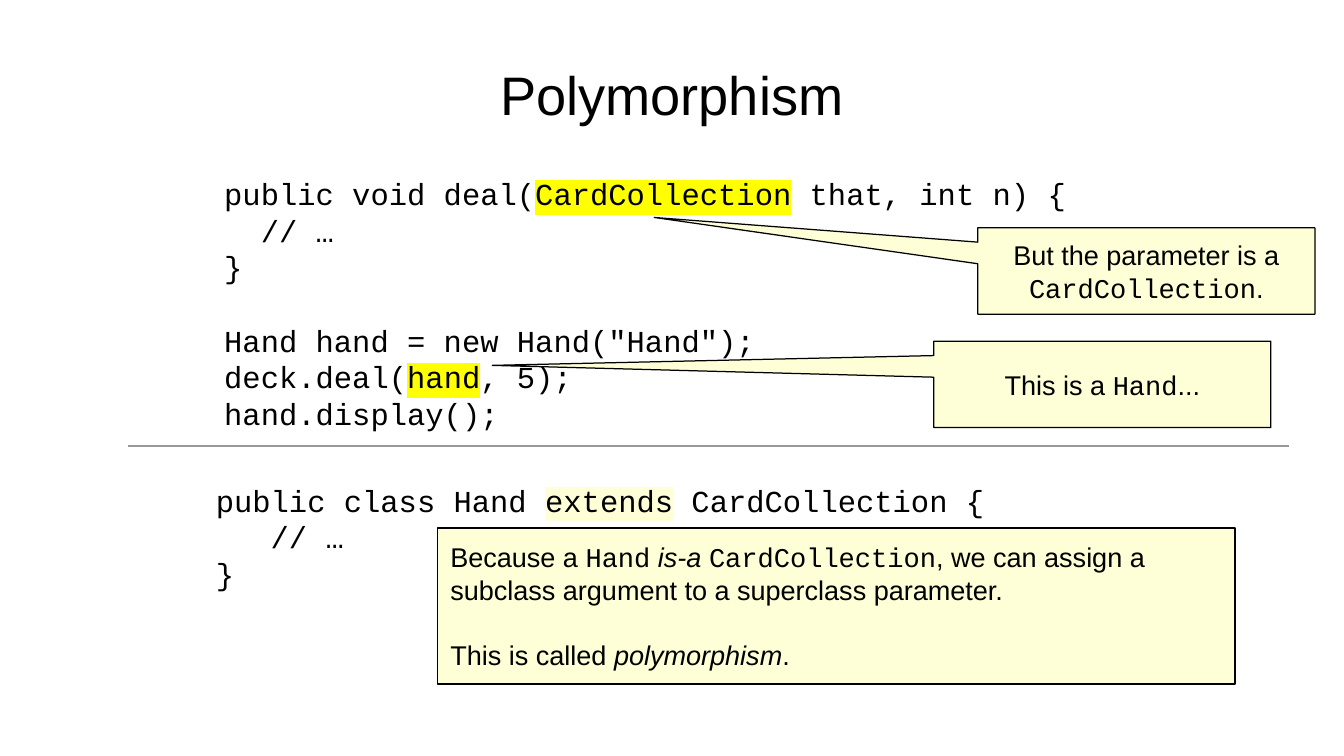
from dataclasses import dataclass

from lxml.etree import SubElement
from pptx import Presentation
from pptx.dml.color import RGBColor
from pptx.enum.shapes import MSO_CONNECTOR, MSO_SHAPE
from pptx.enum.text import MSO_ANCHOR, PP_ALIGN
from pptx.oxml.ns import qn
from pptx.util import Pt


@dataclass(frozen=True)
class Theme:
    ink: str = "000000"
    rule: str = "999999"
    cream: str = "FFFFD7"
    marker: str = "FFFF00"
    sans: str = "Arial"
    mono: str = "Courier New"
    title_size: float = 32
    code_size: float = 18
    note_size: float = 16


THEME = Theme()
CODE_INDENT = 0.6 * THEME.code_size
CODE_GAP = 21.6
NOTE_GAP = 19.3


def points(box):
    return [Pt(length) for length in box]


def add_span(para, text, font, size, italic=False, highlight=None):
    span = para.add_run()
    span.text = text
    span.font.name = font
    span.font.size = Pt(size)
    span.font.italic = italic
    span.font.color.rgb = RGBColor.from_string(THEME.ink)
    if highlight:
        properties = span.font._element
        mark = SubElement(properties, qn("a:highlight"))
        SubElement(mark, qn("a:srgbClr")).set("val", highlight)
        properties.find(qn("a:solidFill")).addnext(mark)


def add_paras(frame, count):
    return [frame.paragraphs[0]] + [frame.add_paragraph() for _ in range(count - 1)]


def set_frame(frame, anchor, side, top):
    frame.word_wrap = True
    frame.vertical_anchor = anchor
    frame.margin_left = frame.margin_right = Pt(side)
    frame.margin_top = frame.margin_bottom = Pt(top)


def add_title(page, box, text):
    title = page.shapes.title
    title.left, title.top, title.width, title.height = points(box)
    set_frame(title.text_frame, MSO_ANCHOR.MIDDLE, 0, 0)
    para = title.text_frame.paragraphs[0]
    para.alignment = PP_ALIGN.CENTER
    add_span(para, text, THEME.sans, THEME.title_size)


def add_code(page, box, lines):
    frame = page.shapes.add_textbox(*points(box)).text_frame
    set_frame(frame, MSO_ANCHOR.TOP, 7.2, 3.6)
    for para, (indent, gap, spans) in zip(add_paras(frame, len(lines)), lines):
        para.space_before = Pt(gap)
        para._p.get_or_add_pPr().set("marL", str(Pt(indent * CODE_INDENT)))
        for text, highlight in spans:
            add_span(para, text, THEME.mono, THEME.code_size, highlight=highlight)


def add_note(page, box, kind, line_width, lines, alignment):
    note = page.shapes.add_shape(kind, *points(box))
    note.shadow.inherit = False
    note.fill.solid()
    note.fill.fore_color.rgb = RGBColor.from_string(THEME.cream)
    note.line.color.rgb = RGBColor.from_string(THEME.ink)
    note.line.width = Pt(line_width)
    frame = note.text_frame
    set_frame(frame, MSO_ANCHOR.MIDDLE, 7.6, 4)
    for para, (gap, spans) in zip(add_paras(frame, len(lines)), lines):
        para.alignment = alignment
        para.space_before = Pt(gap)
        for text, font, italic in spans:
            add_span(para, text, font, THEME.note_size, italic=italic)
    return note


def add_callout(page, box, pointer, lines):
    callout = add_note(
        page, box, MSO_SHAPE.RECTANGULAR_CALLOUT, 0, lines, PP_ALIGN.CENTER
    )
    for index, offset in enumerate(pointer):
        callout.adjustments[index] = offset


def add_divider(page, left, top, width):
    divider = page.shapes.add_connector(
        MSO_CONNECTOR.STRAIGHT, *points((left, top, left + width, top))
    )
    divider.line.color.rgb = RGBColor.from_string(THEME.rule)
    divider.line.width = Pt(1)
    SubElement(divider._element.spPr, qn("a:effectLst"))


def add_call_region(page, box):
    left, top, width, height = box
    add_code(page, box, [
        (0, 0, [("public void deal(", None),
                ("CardCollection", THEME.marker),
                (" that, int n) {", None)]),
        (2, 0, [("// …", None)]),
        (0, 0, [("}", None)]),
        (0, CODE_GAP, [('Hand hand = new Hand("Hand");', None)]),
        (0, 0, [("deck.deal(", None),
                ("hand", THEME.marker),
                (", 5);", None)]),
        (0, 0, [("hand.display();", None)]),
    ])
    add_callout(page, (left + 426, top + 101.5, 199, 51), (-1.81, -0.22), [
        (0, [("This is a ", THEME.sans, False),
             ("Hand", THEME.mono, False),
             ("...", THEME.sans, False)]),
    ])
    add_callout(page, (left + 452, top + 34.5, 199, 51), (-1.46, -0.62), [
        (0, [("But the parameter is a", THEME.sans, False)]),
        (0, [("CardCollection", THEME.mono, False),
             (".", THEME.sans, False)]),
    ])


def add_class_region(page, box):
    left, top, width, height = box
    add_code(page, box, [
        (0, 0, [("public class Hand ", None),
                ("extends", THEME.cream),
                (" CardCollection {", None)]),
        (3, 0, [("// …", None)]),
        (0, 0, [("}", None)]),
    ])
    add_note(page, (left + 138, top + 31, 471, 92), MSO_SHAPE.RECTANGLE, 1, [
        (0, [("Because a ", THEME.sans, False),
             ("Hand", THEME.mono, False),
             (" is-a ", THEME.sans, True),
             ("CardCollection", THEME.mono, False),
             (", we can assign a", THEME.sans, False)]),
        (0, [("subclass argument to a superclass parameter.", THEME.sans, False)]),
        (NOTE_GAP, [("This is called ", THEME.sans, False),
                    ("polymorphism", THEME.sans, True),
                    (".", THEME.sans, False)]),
    ], PP_ALIGN.LEFT)


def main():
    deck = Presentation()
    deck.slide_width, deck.slide_height = Pt(793.44), Pt(446.4)
    page = deck.slides.add_slide(deck.slide_layouts[5])
    add_title(page, (39.6, 18, 714.24, 75), "Polymorphism")
    add_call_region(page, (125.3, 100, 518, 150))
    add_divider(page, 75.6, 263.5, 685.4)
    add_class_region(page, (120.3, 280.8, 475, 68.4))
    deck.save("out.pptx")


if __name__ == "__main__":
    main()
